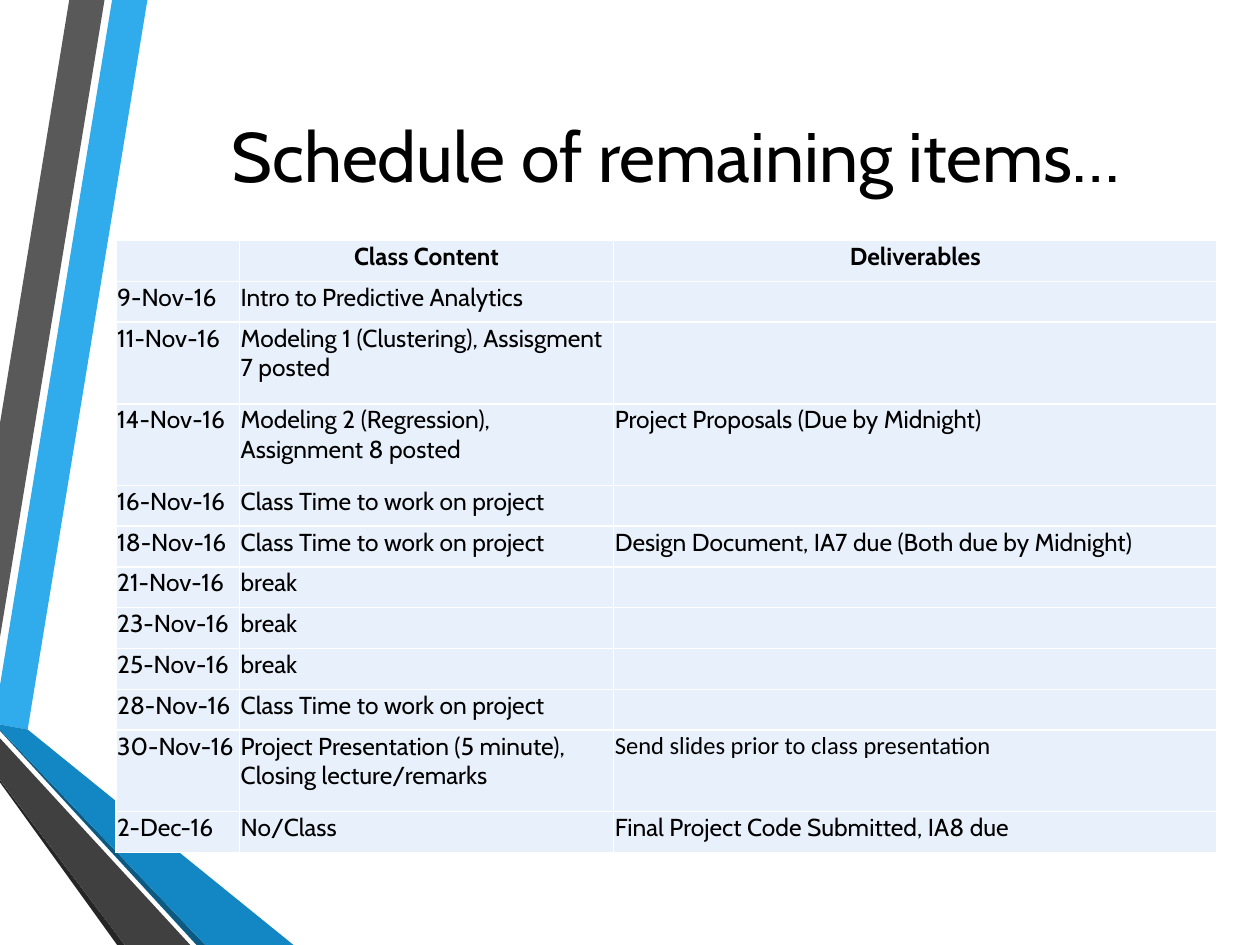
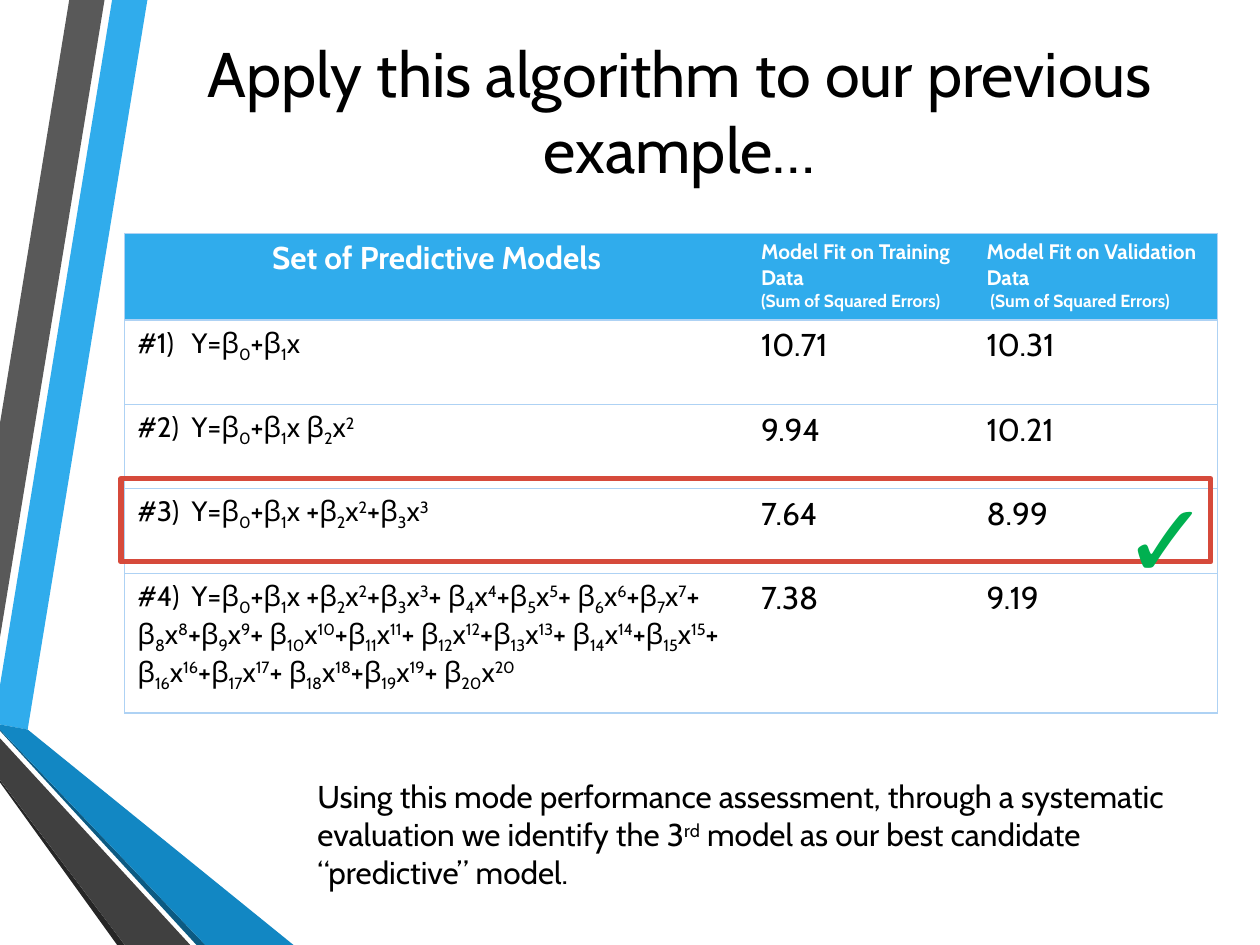
from dataclasses import dataclass

from lxml.etree import SubElement
from pptx import Presentation
from pptx.dml.color import RGBColor
from pptx.enum.shapes import MSO_SHAPE as Preset
from pptx.enum.text import MSO_ANCHOR as Anchor, PP_ALIGN as Align
from pptx.oxml.ns import qn
from pptx.util import Inches, Pt


@dataclass(frozen=True)
class Theme:
    font: str = "Cabin"
    alternate_font: str = "Calibri"
    black: str = "000000"
    white: str = "FFFFFF"
    sky: str = "30ACEC"
    blue: str = "1287C3"
    navy: str = "0C5A82"
    gray: str = "595959"
    charcoal: str = "404040"
    soot: str = "262626"
    pale_blue: str = "E8F1FB"
    rule_blue: str = "AED2F4"
    red: str = "D64A3B"
    green: str = "00B050"
    title: int = 40
    long_title: int = 36
    check: int = 60
    body: int = 18
    formula: int = 16
    schedule: int = 14
    heading: int = 12
    note: int = 10


THEME = Theme()

RIBBONS = [
    (THEME.sky, [(0, 5.44), (0, 5.75), (0.22, 5.79), (1.17, 0), (0.89, 0)]),
    (THEME.gray, [(0.83, 0), (0.55, 0), (0, 3.36), (0, 5.06)]),
    (THEME.soot, [(0, 6.19), (0, 6.21), (0.93, 7.5), (0.99, 7.5)]),
    (THEME.navy, [(0, 5.79), (0, 5.8), (1.56, 7.5), (1.63, 7.5)]),
    (THEME.blue, [(0, 5.79), (1.63, 7.5), (2.33, 7.5), (0.22, 5.79), (0, 5.75)]),
    (THEME.charcoal, [(0, 6.19), (0.99, 7.5), (1.51, 7.5), (0, 5.86)]),
]

CLASS_TIME = "Class Time to work on project"
SCHEDULE = [
    ("", "Class Content", "Deliverables"),
    ("9-Nov-16", "Intro to Predictive Analytics", ""),
    ("11-Nov-16", "Modeling 1 (Clustering), Assisgment 7 posted", ""),
    ("14-Nov-16", "Modeling 2 (Regression), Assignment 8 posted",
     "Project Proposals (Due by Midnight)"),
    ("16-Nov-16", CLASS_TIME, ""),
    ("18-Nov-16", CLASS_TIME, "Design Document, IA7 due (Both due by Midnight)"),
    ("21-Nov-16", "break", ""),
    ("23-Nov-16", "break", ""),
    ("25-Nov-16", "break", ""),
    ("28-Nov-16", CLASS_TIME, ""),
    ("30-Nov-16", "Project Presentation (5 minute), Closing lecture/remarks",
     "Send slides prior to class presentation"),
    ("2-Dec-16", "No/Class", "Final Project Code Submitted, IA8 due"),
]
TALL_SCHEDULE_ROWS = (2, 3, 10)

BASELINES = {"_": "-25000", "^": "30000"}


def polynomial(degree):
    formula = "Y=β|_0|+β|_1|x"
    for power in range(2, degree + 1):
        joint = " +β" if power == 2 else "+β" if power % 2 else "+ β"
        formula += f"{joint}|_{power}|x|^{power}|"
    return formula


MODELS = [
    (polynomial(1), "10.71", "10.31"),
    ("Y=β|_0|+β|_1|x β|_2|x|^2", "9.94", "10.21"),
    (polynomial(3), "7.64", "8.99"),
    (polynomial(20), "7.38", "9.19"),
]


def color(value):
    return RGBColor.from_string(value)


def format_runs(paragraph, size, shade=THEME.black, bold=False, font=THEME.font):
    for run in paragraph.runs:
        run.font.name = font
        run.font.size = Pt(size)
        run.font.bold = bold
        run.font.color.rgb = color(shade)


def write_marked(paragraph, marked, size):
    for part in filter(None, marked.split("|")):
        run = paragraph.add_run()
        baseline = BASELINES.get(part[0])
        run.text = part[1:] if baseline else part
        if baseline:
            run.font._element.set("baseline", baseline)
    format_runs(paragraph, size)


def add_text_box(slide, left, top, width, height, text=""):
    box = slide.shapes.add_textbox(Inches(left), Inches(top), Inches(width), Inches(height))
    box.text_frame.word_wrap = True
    box.text_frame.text = text
    return box.text_frame


def add_title(slide, text, left, top, height, size):
    frame = add_text_box(slide, left, top, 8.43, height, text)
    frame.vertical_anchor = Anchor.MIDDLE
    frame.paragraphs[0].alignment = Align.CENTER
    format_runs(frame.paragraphs[0], size)


def add_ribbons(slide):
    for shade, points in RIBBONS:
        corners = [(Inches(x), Inches(y)) for x, y in points]
        builder = slide.shapes.build_freeform(*corners[0])
        builder.add_line_segments(corners[1:], close=True)
        ribbon = builder.convert_to_shape()
        ribbon.shadow.inherit = False
        ribbon.fill.solid()
        ribbon.fill.fore_color.rgb = color(shade)
        ribbon.line.fill.background()


def add_slide(presentation):
    slide = presentation.slides.add_slide(presentation.slide_layouts[6])
    add_ribbons(slide)
    return slide


def add_table(slide, left, top, columns, rows):
    frame = slide.shapes.add_table(
        len(rows), len(columns), Inches(left), Inches(top),
        Inches(sum(columns)), Inches(sum(rows)))
    table = frame.table
    table.horz_banding = False
    for column, width in zip(table.columns, columns):
        column.width = Inches(width)
    for row, height in zip(table.rows, rows):
        row.height = Inches(height)
    return table


def style_cell(cell, fill, border, width, sides="LRTB"):
    properties = cell._tc.get_or_add_tcPr()
    for side in "LRTB":
        line = SubElement(properties, qn(f"a:ln{side}"), w=str(Pt(width)))
        if side in sides:
            solid = SubElement(line, qn("a:solidFill"))
            SubElement(solid, qn("a:srgbClr"), val=border)
        else:
            SubElement(line, qn("a:noFill"))
    if fill:
        cell.fill.solid()
        cell.fill.fore_color.rgb = color(fill)
    else:
        cell.fill.background()


def set_end_size(paragraph, size):
    SubElement(paragraph._p, qn("a:endParaRPr"), sz=str(size * 100))


def set_tab_stop(paragraph, position):
    stops = SubElement(paragraph._p.get_or_add_pPr(), qn("a:tabLst"))
    SubElement(stops, qn("a:tab"), pos=str(Inches(position)), algn="l")


def fill_schedule_cell(cell, text, is_header):
    cell.margin_left = cell.margin_right = cell.margin_top = Inches(0.01)
    cell.margin_bottom = 0
    style_cell(cell, THEME.pale_blue, THEME.white, 1)
    paragraph = cell.text_frame.paragraphs[0]
    if not text:
        set_end_size(paragraph, THEME.schedule)
        return
    paragraph.text = text
    if is_header:
        paragraph.alignment = Align.CENTER
    font = THEME.alternate_font if text.startswith("Send slides") else THEME.font
    format_runs(paragraph, THEME.schedule, bold=is_header, font=font)


def add_schedule(slide):
    unit = 4.86 / (len(SCHEDULE) + len(TALL_SCHEDULE_ROWS))
    heights = [unit * (2 if index in TALL_SCHEDULE_ROWS else 1)
               for index in range(len(SCHEDULE))]
    table = add_table(slide, 0.92, 1.91, [0.98, 2.97, 4.79], heights)
    for row, texts in enumerate(SCHEDULE):
        for column, text in enumerate(texts):
            fill_schedule_cell(table.cell(row, column), text, row == 0)


def fill_model_header(table):
    title = table.cell(0, 0).text_frame.paragraphs[0]
    title.text = "Set of Predictive Models"
    title.alignment = Align.CENTER
    format_runs(title, THEME.body, THEME.white, bold=True)
    notes = ("(Sum of Squared Errors)", " (Sum of Squared Errors)")
    for column, (data, note) in enumerate(zip(("Training", "Validation"), notes), 1):
        frame = table.cell(0, column).text_frame
        frame.text = f"Model Fit on {data} Data\n{note}"
        for paragraph, size in zip(frame.paragraphs, (THEME.heading, THEME.note)):
            format_runs(paragraph, size, THEME.white, bold=True)


def add_models(slide):
    table = add_table(slide, 0.99, 1.85, [4.95, 1.79, 1.93], [0.69, 0.67, 0.67, 0.67, 1.11])
    for row in range(len(MODELS) + 1):
        for column, outer_side in enumerate(("L", "", "R")):
            fill = THEME.sky if row == 0 else None
            style_cell(table.cell(row, column), fill, THEME.rule_blue, 0.75, "TB" + outer_side)
    fill_model_header(table)
    for row, (formula, *errors) in enumerate(MODELS, 1):
        paragraph = table.cell(row, 0).text_frame.paragraphs[0]
        set_tab_stop(paragraph, 0.43)
        write_marked(paragraph, f"#{row})\t{formula}", THEME.formula)
        for column, error in enumerate(errors, 1):
            paragraph = table.cell(row, column).text_frame.paragraphs[0]
            paragraph.text = error
            format_runs(paragraph, THEME.body)


def add_best_model_mark(slide):
    frame = slide.shapes.add_shape(
        Preset.RECTANGLE, Inches(0.96), Inches(3.8), Inches(8.65), Inches(0.66))
    frame.shadow.inherit = False
    frame.fill.background()
    frame.line.color.rgb = color(THEME.red)
    frame.line.width = Pt(3)


def add_check(slide):
    check = add_text_box(slide, 8.81, 3.71, 0.86, 1.11, "✓")
    check.word_wrap = False
    format_runs(check.paragraphs[0], THEME.check, THEME.green, bold=True)


def add_conclusion(slide):
    conclusion = add_text_box(slide, 2.42, 6.12, 7.08, 1.01)
    write_marked(
        conclusion.paragraphs[0],
        "Using this mode performance assessment, through a systematic evaluation "
        "we identify the 3|^rd| model as our best candidate “predictive” model.",
        THEME.body)


def main():
    presentation = Presentation()
    presentation.slide_width = Inches(10)
    presentation.slide_height = Inches(7.5)

    schedule_slide = add_slide(presentation)
    add_title(schedule_slide, "Schedule of remaining items…", 1.15, 0.14, 2.17, THEME.title)
    add_schedule(schedule_slide)

    model_slide = add_slide(presentation)
    add_models(model_slide)
    add_title(model_slide, "Apply this algorithm to our previous example…",
              1.18, 0.41, 0.93, THEME.long_title)
    add_best_model_mark(model_slide)
    add_conclusion(model_slide)
    add_check(model_slide)

    presentation.save("out.pptx")


if __name__ == "__main__":
    main()
